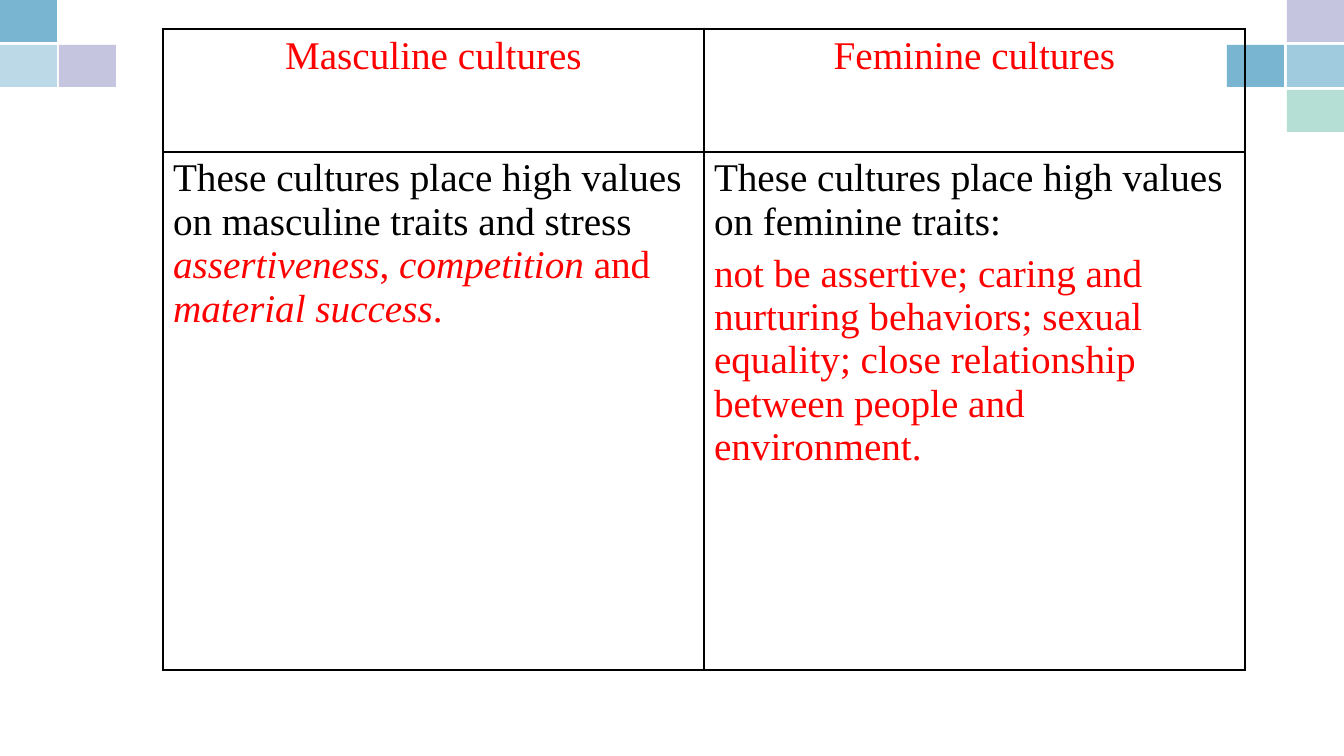
from dataclasses import dataclass

from lxml import etree
from pptx import Presentation
from pptx import util as u
from pptx.dml.color import RGBColor
from pptx.enum import shapes, text
from pptx.oxml.ns import qn


@dataclass(frozen=True)
class Theme:
    font: str = "Times New Roman"
    size: int = 28
    paragraph_gap: int = 6
    ink: str = "000000"
    accent: str = "FF0000"
    blue: str = "79B4D1"
    violet: str = "8D8DC1"
    mint: str = "84CAB8"
    outer_line: float = 2.25
    inner_line: float = 1


THEME = Theme()

# Each cell is a list of paragraphs, each paragraph a list of (text, color, italic).
HEADINGS = [
    [[("Masculine cultures", THEME.accent, False)]],
    [[("Feminine cultures", THEME.accent, False)]],
]
DESCRIPTIONS = [
    [[
        ("These cultures place high values on masculine traits and stress ", THEME.ink, False),
        ("assertiveness", THEME.accent, True),
        (", ", THEME.accent, False),
        ("competition", THEME.accent, True),
        (" and ", THEME.accent, False),
        ("material success", THEME.accent, True),
        (".", THEME.accent, False),
    ]],
    [
        [("These cultures place high values on feminine traits:", THEME.ink, False)],
        [("not be assertive; caring and nurturing behaviors; sexual equality; "
          "close relationship between people and environment.", THEME.accent, False)],
    ],
]
CULTURES = [HEADINGS, DESCRIPTIONS]

# Corner tiles: left edge, row, color, opacity in percent
TILES = [
    (1287, 2, THEME.mint, 60),
    (1287, 0, THEME.violet, 50),
    (59, 1, THEME.violet, 50),
    (0, 0, THEME.blue, 100),
    (0, 1, THEME.blue, 50),
    (1287, 1, THEME.blue, 70),
    (1227, 1, THEME.blue, 100),
]
TILE_WIDTH, TILE_HEIGHT, TILE_PITCH = 57, 42, 45

SLIDE_SIZE = (1344, 756)
TABLE_LEFT, TABLE_TOP = 163, 29
COLUMN_WIDTH = 541
ROW_HEIGHTS = [123, 518]


def px(length):
    return u.Emu(round(length * 914400 / 100.8))


def add_tile(slide, left, row, color, opacity):
    tile = slide.shapes.add_shape(
        shapes.MSO_SHAPE.RECTANGLE,
        px(left), px(row * TILE_PITCH), px(TILE_WIDTH), px(TILE_HEIGHT))
    tile.shadow.inherit = False
    tile.line.fill.background()
    tile.fill.solid()
    tile.fill.fore_color.rgb = RGBColor.from_string(color)
    if opacity < 100:
        tint = tile.fill._xPr.find(".//" + qn("a:srgbClr"))
        etree.SubElement(tint, qn("a:alpha"), val=str(opacity * 1000))


def add_run(paragraph, words, *, color, italic=False):
    run = paragraph.add_run()
    run.text = words
    run.font.name = THEME.font
    run.font.size = u.Pt(THEME.size)
    run.font.color.rgb = RGBColor.from_string(color)
    run.font.bold = False
    run.font.italic = italic


def write_cell(cell, paragraphs, align):
    frame = cell.text_frame
    for index, runs in enumerate(paragraphs):
        paragraph = frame.add_paragraph() if index else frame.paragraphs[0]
        paragraph.alignment = align
        if index:
            paragraph.space_before = u.Pt(THEME.paragraph_gap)
        for words, color, italic in runs:
            add_run(paragraph, words, color=color, italic=italic)


def set_borders(cell, outer_sides):
    properties = cell._tc.get_or_add_tcPr()
    for side in "LRTB":
        width = THEME.outer_line if side in outer_sides else THEME.inner_line
        line = etree.SubElement(properties, qn("a:ln" + side), w=str(u.Pt(width)))
        fill = etree.SubElement(line, qn("a:solidFill"))
        etree.SubElement(fill, qn("a:srgbClr"), val=THEME.ink)


def add_cultures_table(slide):
    columns = len(HEADINGS)
    table = slide.shapes.add_table(
        len(CULTURES), columns, px(TABLE_LEFT), px(TABLE_TOP),
        px(COLUMN_WIDTH * columns), px(sum(ROW_HEIGHTS))).table
    table.first_row = table.horz_banding = False
    for column in table.columns:
        column.width = px(COLUMN_WIDTH)
    for r, (row, height) in enumerate(zip(CULTURES, ROW_HEIGHTS)):
        table.rows[r].height = px(height)
        align = text.PP_ALIGN.LEFT if r else text.PP_ALIGN.CENTER
        for c, paragraphs in enumerate(row):
            cell = table.cell(r, c)
            write_cell(cell, paragraphs, align)
            set_borders(cell, "TB"[r] + "LR"[c])
            cell.fill.background()


def main():
    deck = Presentation()
    deck.slide_width, deck.slide_height = map(px, SLIDE_SIZE)
    slide = deck.slides.add_slide(deck.slide_layouts[6])
    for tile in TILES:
        add_tile(slide, *tile)
    add_cultures_table(slide)
    deck.save("out.pptx")


if __name__ == "__main__":
    main()
